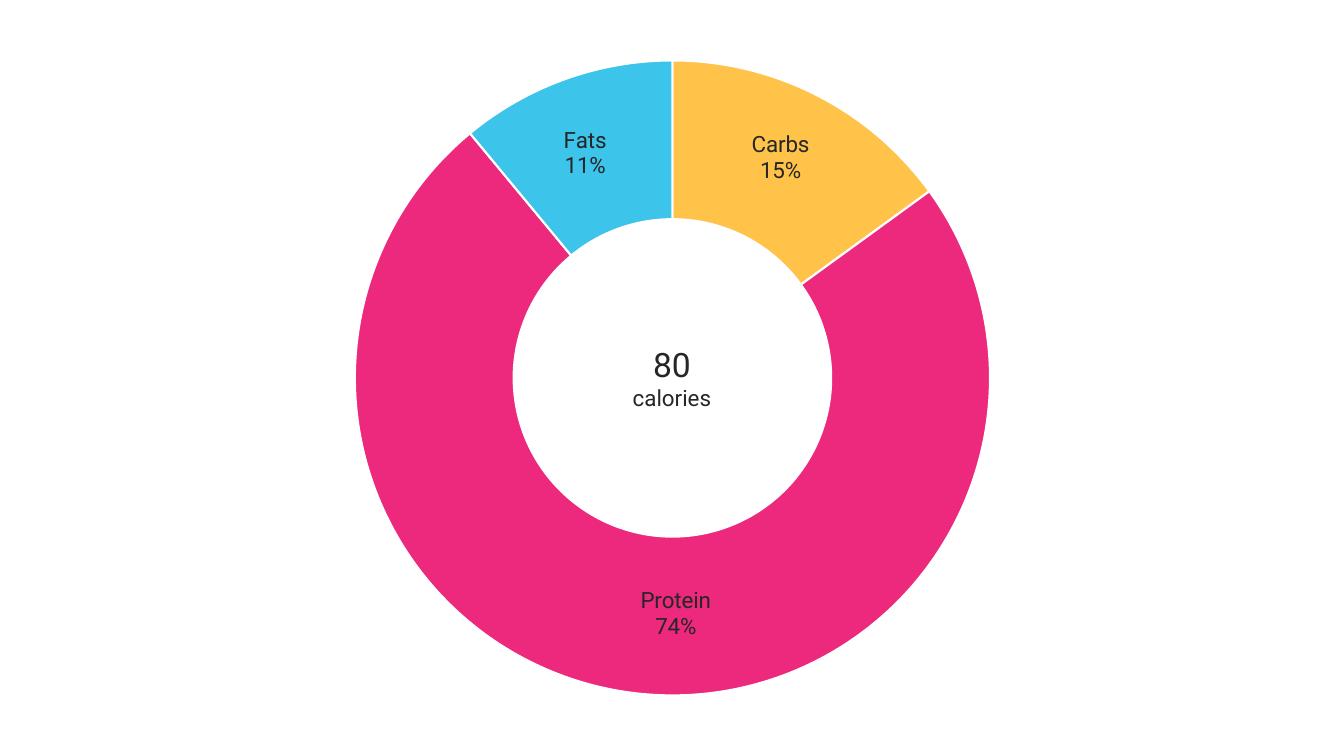
"""Build a slide with a doughnut chart of calories by macronutrient."""
from lxml import etree
from pptx import Presentation
from pptx import util as u
from pptx.chart.data import CategoryChartData
from pptx.dml.color import RGBColor
from pptx.enum import chart as charts, text
from pptx.oxml import parse_xml
from pptx.oxml.ns import nsdecls, qn

DARK = RGBColor(0x26, 0x26, 0x26)
WHITE = RGBColor(0xFF, 0xFF, 0xFF)
YELLOW = RGBColor(0xFF, 0xC3, 0x4A)
PINK = RGBColor(0xEC, 0x29, 0x7C)
BLUE = RGBColor(0x3D, 0xC4, 0xEA)
FONT = "Roboto"


def style(font, size):
    for name, value in {"name": FONT, "size": u.Pt(size)}.items():
        setattr(font, name, value)
    font.color.rgb = DARK


def manual_layout(values, target=""):
    parts = "".join(f'<c:{key} val="{value}"/>' for key, value in values.items())
    return parse_xml(f'<c:layout {nsdecls("c")}><c:manualLayout>{target}{parts}'
                     "</c:manualLayout></c:layout>")


deck = Presentation()
deck.slide_width, deck.slide_height = u.Inches(13.33), u.Inches(7.5)
page = deck.slides.add_slide(deck.slide_layouts[6])

nutrients = [
    ("Carbs", 0.15, YELLOW, (0, -0.01)),
    ("Protein", 0.74, PINK, (0.05, 0)),
    ("Fats", 0.11, BLUE, (-0.01, 0)),
]
data = CategoryChartData(number_format="0%")
data.categories = [nutrient[0] for nutrient in nutrients]
data.add_series("Series 1", [nutrient[1] for nutrient in nutrients])
chart = page.shapes.add_chart(
    charts.XL_CHART_TYPE.DOUGHNUT,
    u.Inches(3.38), u.Inches(0), u.Inches(6.58), u.Inches(7.5), data).chart
chart.has_legend = False
chart.has_title = False
style(chart.font, 10)

plot_area = chart.plots[0]._element.getparent()
for old_layout in plot_area.findall(qn("c:layout")):
    plot_area.remove(old_layout)
plot_area.insert(0, manual_layout(
    {"xMode": "edge", "yMode": "edge", "x": 0.02, "y": 0.08, "w": 0.96, "h": 0.84},
    '<c:layoutTarget val="inner"/>'))

plot = chart.plots[0]
plot.vary_by_categories = True
ring = plot.series[0]
labels = ring.data_labels
labels.number_format = "0%"
labels.number_format_is_linked = False
labels.show_category_name = True
labels.show_value = True
style(labels.font, 16)

for index, (name, share, color, shift) in enumerate(nutrients):
    point = ring.points[index]
    point.format.fill.solid()
    point.format.fill.fore_color.rgb = color
    point.format.line.color.rgb = WHITE
    point.format.line.width = u.Pt(1.5)
    style(point.data_label.font, 16)
    label = labels._element.findall(qn("c:dLbl"))[index]
    label.find(qn("c:showCatName")).set("val", "1")
    label.insert(1, manual_layout({"x": shift[0], "y": shift[1]}))
    label.insert(2, parse_xml(
        f'<c:numFmt {nsdecls("c")} formatCode="0%" sourceLinked="0"/>'))
    etree.SubElement(label, qn("c:separator")).text = "\n"

box = page.shapes.add_textbox(
    u.Inches(6.1), u.Inches(3.36), u.Inches(1.13), u.Inches(0.77))
frame = box.text_frame
frame.word_wrap = False
frame.auto_size = text.MSO_AUTO_SIZE.SHAPE_TO_FIT_TEXT
for index, (wording, size) in enumerate([("80", 24), ("calories", 16)]):
    para = frame.add_paragraph() if index else frame.paragraphs[0]
    para.alignment = text.PP_ALIGN.CENTER
    span = para.add_run()
    span.text = wording
    style(span.font, size)

deck.save("out.pptx")
